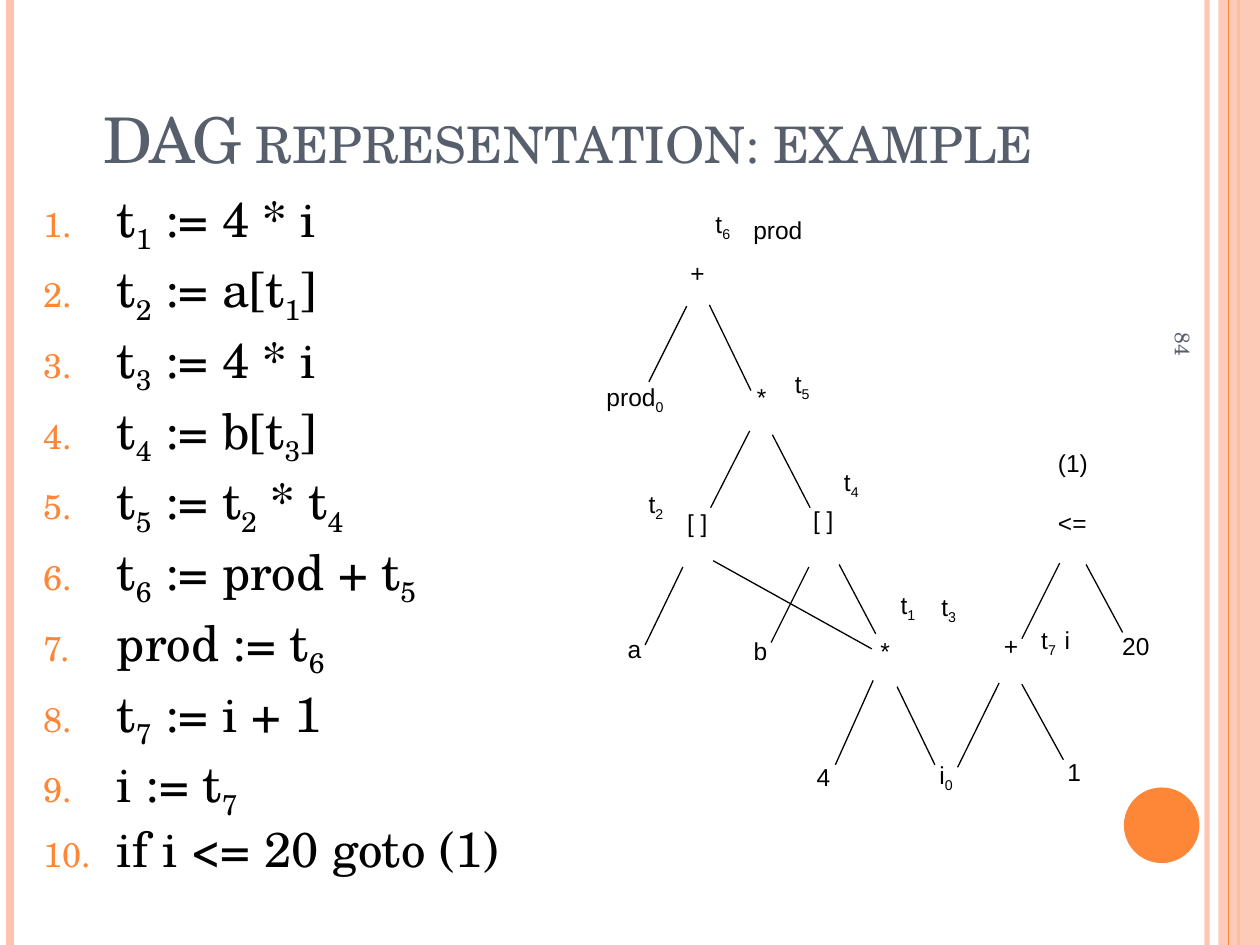
"""Build a slide on the DAG representation of a basic block."""
from typing import NamedTuple

import lxml.etree
import pptx
import pptx.dml.color
import pptx.enum.shapes
import pptx.enum.text
import pptx.oxml.ns
import pptx.util

Inches = pptx.util.Inches
Pt = pptx.util.Pt
Align = pptx.enum.text.PP_ALIGN
Anchor = pptx.enum.text.MSO_ANCHOR
Shape = pptx.enum.shapes.MSO_SHAPE
qn = pptx.oxml.ns.qn

SERIF = "TeX Gyre Schola"
SANS = "Arial"
HUES = {"peach": "FEC3AE", "orange": "FE8637", "slate": "575F6D", "black": "000000"}


class Label(NamedTuple):
    text: str
    left: float
    top: float
    width: float
    align: Align = Align.CENTER


class Line(NamedTuple):
    x1: float
    y1: float
    x2: float
    y2: float
    hue: str = "black"
    weight: float = 0.75
    alpha: int = 100


RAILS = [
    Line(9.58, 0, 9.58, 7.5, "peach", 3, 93),
    Line(0.08, 0, 0.08, 7.5, "peach", 4.5),
    Line(9.83, 0, 9.83, 7.5, "orange", 1.5),
]
INNER = Line(9.75, 0, 9.75, 7.5, "orange")

CODE = [
    "t_1 := 4 * i", "t_2 := a[t_1]", "t_3 := 4 * i", "t_4 := b[t_3]",
    "t_5 := t_2 * t_4", "t_6 := prod + t_5", "prod := t_6",
    "t_7 := i + 1", "i := t_7", "if i <= 20 goto (1)",
]

NODES = [
    Label("+", 5.34, 2, 0.39), Label("prod_0", 4.58, 2.98, 0.92),
    Label("*", 5.86, 2.98, 0.37), Label("[ ]", 5.28, 3.98, 0.51),
    Label("[ ]", 6.28, 3.96, 0.51), Label("*", 6.84, 5, 0.37),
    Label("i_0", 7.31, 5.98, 0.4), Label("4", 6.35, 6, 0.37),
    Label("b", 5.85, 5, 0.37), Label("a", 4.86, 4.98, 0.35),
    Label("+", 7.83, 4.96, 0.39), Label("1", 8.34, 5.96, 0.37),
    Label("20", 8.75, 4.96, 0.53), Label("<=", 8.22, 3.98, 0.58),
]

EDGES = [
    Line(5.45, 2.43, 5.15, 3.03), Line(5.63, 2.42, 5.96, 3.1),
    Line(5.95, 3.42, 5.64, 4.03), Line(6.13, 3.45, 6.43, 4.03),
    Line(5.42, 4.5, 5.12, 5.12), Line(6.42, 4.5, 6.12, 5.1),
    Line(6.66, 4.48, 6.95, 5.03), Line(6.93, 5.4, 6.63, 6.07),
    Line(7.12, 5.45, 7.42, 6.07), Line(5.66, 4.45, 6.92, 5.15),
    Line(7.93, 5.42, 7.6, 6.09), Line(8.11, 5.43, 8.44, 6.03),
    Line(8.41, 4.47, 8.11, 5.07), Line(8.62, 4.48, 8.91, 5.02),
]

TAGS = [
    Label("t_1", 7.05, 4.63, 0.4, Align.LEFT), Label("t_4", 6.6, 3.66, 0.4, Align.LEFT),
    Label("t_5", 6.21, 2.88, 0.4, Align.LEFT), Label("t_6", 5.58, 1.61, 0.4, Align.LEFT),
    Label("t_7", 8.08, 4.91, 0.4, Align.RIGHT), Label("(1)", 8.22, 3.51, 0.59),
    Label("t_3", 7.33, 4.65, 0.4), Label("t_2", 5.05, 3.83, 0.4, Align.LEFT),
    Label("prod", 5.88, 1.66, 0.81, Align.LEFT), Label("i", 8.35, 4.91, 0.29, Align.LEFT),
]


def tint(fill, hue: str, alpha: int = 100) -> None:
    """Fill with a named colour, partly clear if alpha is below 100."""
    fill.solid()
    fill.fore_color.rgb = pptx.dml.color.RGBColor.from_string(HUES[hue])
    if alpha < 100:
        color = fill._xPr.find(".//" + qn("a:srgbClr"))
        lxml.etree.SubElement(color, qn("a:alpha"), val=str(alpha * 1000))


def draw_line(slide, line: Line) -> None:
    """Draw one straight line without a shadow."""
    ends = [Inches(v) for v in line[:4]]
    link = slide.shapes.add_connector(pptx.enum.shapes.MSO_CONNECTOR.STRAIGHT, *ends)
    link.line.width = Pt(line.weight)
    tint(link.line.fill, line.hue, line.alpha)
    lxml.etree.SubElement(link._element.spPr, qn("a:effectLst"))


def draw_shape(slide, kind: Shape, box: tuple, hue: str, alpha: int = 100) -> None:
    """Draw one filled shape without an outline."""
    shape = slide.shapes.add_shape(kind, *[Inches(v) for v in box])
    shape.shadow.inherit = False
    shape.line.fill.background()
    tint(shape.fill, hue, alpha)


def add_box(slide, left: float, top: float, width: float, height: float):
    """Add a wrapping text box."""
    box = slide.shapes.add_textbox(*[Inches(v) for v in (left, top, width, height)])
    box.text_frame.word_wrap = True
    return box


def write(para, text: str, size: float, face: str, hue: str = "black") -> None:
    """Write text in which an underscore lowers the next character."""
    head, *tails = text.split("_")
    parts = [(head, False)]
    for tail in tails:
        parts += [(tail[0], True), (tail[1:], False)]
    for part, low in parts:
        if part:
            run = para.add_run()
            run.text = part
            run.font.size = Pt(size)
            run.font.name = face
            tint(run.font.fill, hue)
            if low:
                run._r.get_or_add_rPr().set("baseline", "-25000")


def draw_label(slide, label: Label) -> None:
    """Draw one label of the graph."""
    frame = add_box(slide, label.left, label.top, label.width, 0.5).text_frame
    frame.word_wrap = False
    frame.auto_size = pptx.enum.text.MSO_AUTO_SIZE.SHAPE_TO_FIT_TEXT
    para = frame.paragraphs[0]
    para.alignment = label.align
    write(para, label.text, 14, SANS)


def number(para) -> None:
    """Give a paragraph an orange automatic number."""
    props = para._p.get_or_add_pPr()
    indent = Inches(0.58)
    props.set("marL", str(indent))
    props.set("indent", str(-indent))
    color = lxml.etree.SubElement(props, qn("a:buClr"))
    lxml.etree.SubElement(color, qn("a:srgbClr"), val=HUES["orange"])
    lxml.etree.SubElement(props, qn("a:buSzPct"), val="70000")
    lxml.etree.SubElement(props, qn("a:buAutoNum"), type="arabicPeriod")


def draw_code(slide) -> None:
    """Draw the numbered code."""
    frame = add_box(slide, 0.25, 1.45, 3.9, 5.53).text_frame
    for row, text in enumerate(CODE):
        para = frame.add_paragraph() if row else frame.paragraphs[0]
        number(para)
        para.line_spacing = 0.9
        para.space_before = Pt(6 if row else 0)
        write(para, text, 28, SERIF)


def draw_title(slide) -> None:
    """Draw the title in small capitals."""
    frame = add_box(slide, 0.72, 0.2, 8.5, 1.25).text_frame
    frame.vertical_anchor = Anchor.BOTTOM
    para = frame.paragraphs[0]
    write(para, "DAG representation: example", 36, SERIF, "slate")
    para.runs[0]._r.get_or_add_rPr().set("cap", "small")


def main() -> None:
    """Build and save the slide."""
    deck = pptx.Presentation()
    deck.slide_width, deck.slide_height = Inches(10), Inches(7.5)
    slide = deck.slides.add_slide(deck.slide_layouts[6])
    for rail in RAILS:
        draw_line(slide, rail)
    draw_shape(slide, Shape.RECTANGLE, (9.67, 0, 0.33, 7.5), "peach", 87)
    draw_line(slide, INNER)
    draw_shape(slide, Shape.OVAL, (8.92, 6.25, 0.6, 0.6), "orange")
    page = add_box(slide, 7.64, 4.09, 3.5, 0.4)
    page.rotation = 90
    page.text_frame.vertical_anchor = Anchor.MIDDLE
    write(page.text_frame.paragraphs[0], "84", 12, SERIF, "slate")
    draw_title(slide)
    draw_code(slide)
    for node in NODES:
        draw_label(slide, node)
    for edge in EDGES:
        draw_line(slide, edge)
    for tag in TAGS:
        draw_label(slide, tag)
    deck.save("out.pptx")


if __name__ == "__main__":
    main()
